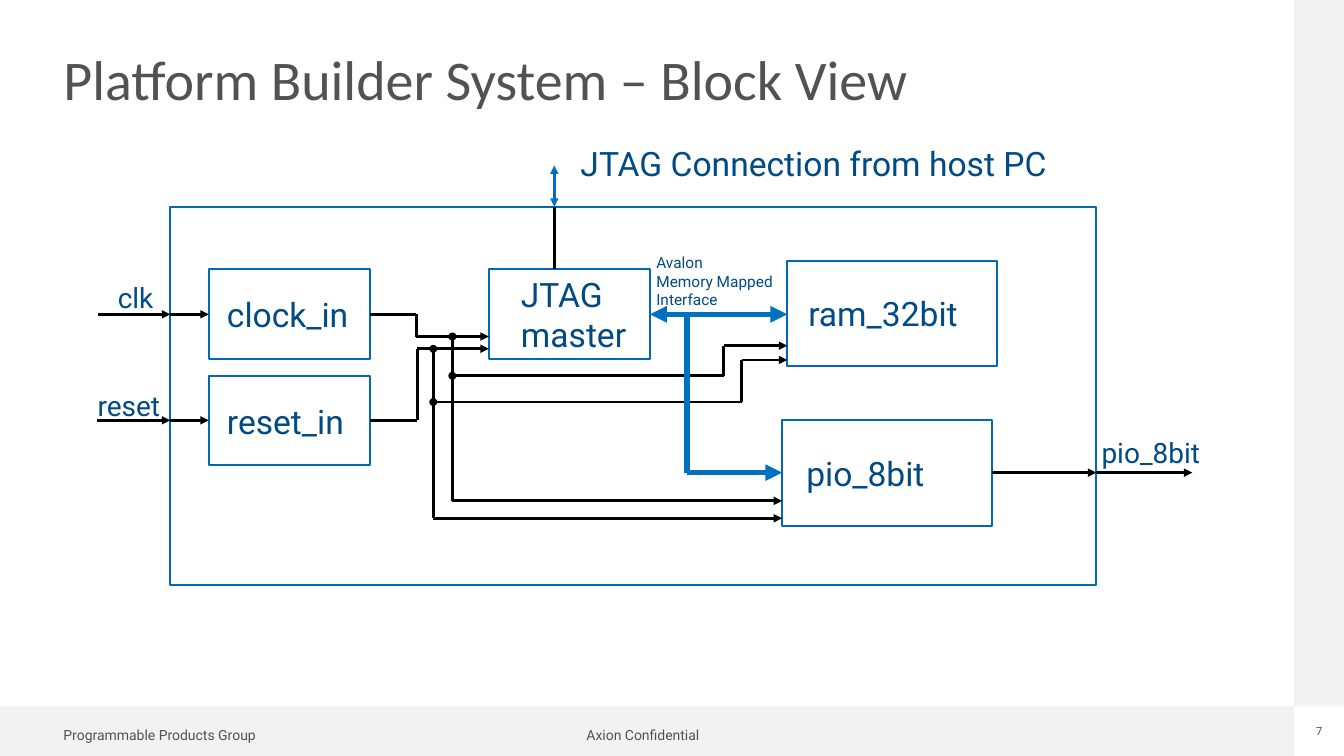
from dataclasses import dataclass
from itertools import pairwise

from lxml.etree import SubElement
from pptx import Presentation
from pptx.dml.color import RGBColor
from pptx.enum.shapes import MSO_CONNECTOR as Connector, MSO_SHAPE as Shape
from pptx.enum.text import MSO_ANCHOR as Anchor, PP_ALIGN as Align
from pptx.oxml.ns import qn
from pptx.util import Cm, Pt


@dataclass(frozen=True)
class Theme:
    heading_font: str = "Calibri"
    body_font: str = "Roboto"
    grey: str = "525252"
    band: str = "F2F2F2"
    text: str = "004A86"
    outline: str = "0068B5"
    bus: str = "0070C0"
    wire: str = "000000"
    title_size: float = 40
    block_size: float = 24
    port_size: float = 20
    bus_size: float = 11
    footer_size: float = 10
    number_size: float = 8
    outline_width: float = 1.5
    wire_width: float = 2
    bus_width: float = 4


THEME = Theme()

# Content; all lengths in centimetres
TITLE = "Platform Builder System – Block View"
BANDS = [(0, 17.8, 32.61, 1.25), (32.61, 0, 1.26, 17.8)]
SYSTEM = (4.29, 5.21, 23.34, 9.53)

# Text, box, left inset
BLOCKS = [
    ("clock_in", (5.26, 6.78, 4.06, 2.26), 0.46),
    ("reset_in", (5.26, 9.47, 4.06, 2.26), 0.46),
    ("JTAG\nmaster", (12.32, 6.78, 4.06, 2.26), 0.81),
    ("ram_32bit", (19.84, 6.58, 5.28, 2.64), 0.53),
    ("pio_8bit", (19.71, 10.59, 5.28, 2.67), 0.61),
]

# Text, box, size
LABELS = [
    ("clk", (2.97, 7.06, 1.2, 0.86), THEME.port_size),
    ("reset", (2.46, 9.8, 1.9, 0.86), THEME.port_size),
    ("pio_8bit", (27.76, 10.97, 2.8, 0.86), THEME.port_size),
    ("Avalon\nMemory Mapped\nInterface", (16.54, 6.38, 3.2, 1.42), THEME.bus_size),
    ("JTAG Connection from host PC", (14.63, 3.61, 12.5, 1.02), THEME.block_size),
]

# Text, box, size, alignment
FOOTERS = [
    ("Programmable Products Group", (1.6, 18.36, 6, 0.4), THEME.footer_size, Align.LEFT),
    ("Axion Confidential", (14.78, 18.36, 4, 0.4), THEME.footer_size, Align.LEFT),
    ("7", (32.75, 18.29, 1, 0.33), THEME.number_size, Align.CENTER),
]

# Rows and columns shared by the wires
CLOCK_Y, RESET_Y, PIO_Y = 7.92, 10.59, 11.91
CLOCK_X, RESET_X = 11.4, 10.92
CLOCK_BUS_Y, RESET_BUS_Y = 8.48, 8.79
CLOCK_RAM_Y, RESET_RAM_Y = 9.47, 10.13
BLOCK_LEFT, BLOCK_RIGHT, MASTER_LEFT, MASTER_RIGHT = 5.26, 9.32, 12.32, 16.38
RAM_LEFT, PIO_LEFT, PIO_RIGHT = 19.84, 19.71, 24.99
SYSTEM_LEFT, SYSTEM_TOP, SYSTEM_RIGHT = 4.29, 5.21, 27.63
JTAG_X, BUS_X = 13.97, 17.32

# Corner points; each route ends in an arrow
SIGNALS = [
    [(2.46, CLOCK_Y), (SYSTEM_LEFT, CLOCK_Y)],
    [(SYSTEM_LEFT, CLOCK_Y), (BLOCK_LEFT, CLOCK_Y)],
    [(2.44, RESET_Y), (SYSTEM_LEFT, RESET_Y)],
    [(SYSTEM_LEFT, RESET_Y), (BLOCK_LEFT, RESET_Y)],
    [(BLOCK_RIGHT, CLOCK_Y), (10.49, CLOCK_Y), (10.49, CLOCK_BUS_Y), (MASTER_LEFT, CLOCK_BUS_Y)],
    [(BLOCK_RIGHT, RESET_Y), (10.52, RESET_Y), (10.52, RESET_BUS_Y), (MASTER_LEFT, RESET_BUS_Y)],
    [(CLOCK_X, CLOCK_BUS_Y), (CLOCK_X, 12.62), (PIO_LEFT, 12.62)],
    [(RESET_X, RESET_BUS_Y), (RESET_X, 13.06), (PIO_LEFT, 13.06)],
    [(CLOCK_X, CLOCK_RAM_Y), (18.24, CLOCK_RAM_Y), (18.24, 8.71), (RAM_LEFT, 8.71)],
    [(RESET_X, RESET_RAM_Y), (18.69, RESET_RAM_Y), (18.69, 9.07), (RAM_LEFT, 9.07)],
    [(PIO_RIGHT, PIO_Y), (SYSTEM_RIGHT, PIO_Y)],
    [(SYSTEM_RIGHT, PIO_Y), (30.05, PIO_Y)],
]
JUNCTIONS = [(CLOCK_X, CLOCK_BUS_Y), (CLOCK_X, CLOCK_RAM_Y),
             (RESET_X, RESET_BUS_Y), (RESET_X, RESET_RAM_Y)]
JUNCTION_SIZE = 0.2


def write(text_frame, text, size, color=THEME.text, font=THEME.body_font,
          align=Align.LEFT, anchor=Anchor.TOP, inset=0, spacing=None):
    text_frame.text = text
    text_frame.word_wrap = True
    text_frame.vertical_anchor = anchor
    text_frame.margin_left = Cm(inset)
    text_frame.margin_right = text_frame.margin_top = text_frame.margin_bottom = 0
    for paragraph in text_frame.paragraphs:
        paragraph.alignment = align
        paragraph.line_spacing = spacing
        for run in paragraph.runs:
            run.font.name = font
            run.font.size = Pt(size)
            run.font.color.rgb = RGBColor.from_string(color)


def add_shape(slide, kind, box, fill=None, outline=None):
    shape = slide.shapes.add_shape(kind, *map(Cm, box))
    shape.shadow.inherit = False
    if fill:
        shape.fill.solid()
        shape.fill.fore_color.rgb = RGBColor.from_string(fill)
    else:
        shape.fill.background()
    if outline:
        shape.line.color.rgb = RGBColor.from_string(outline)
        shape.line.width = Pt(THEME.outline_width)
    else:
        shape.line.fill.background()
    return shape


def add_label(slide, text, box, size, **style):
    label = slide.shapes.add_textbox(*map(Cm, box))
    write(label.text_frame, text, size, **style)


def add_route(slide, points, color=THEME.wire, width=THEME.wire_width,
              start_arrow=False, end_arrow=True):
    segments = list(pairwise(points))
    for index, (start, end) in enumerate(segments):
        line = slide.shapes.add_connector(Connector.STRAIGHT, *map(Cm, start + end))
        line.line.color.rgb = RGBColor.from_string(color)
        line.line.width = Pt(width)
        properties = line.line._get_or_add_ln()
        if start_arrow and index == 0:
            SubElement(properties, qn("a:headEnd"), type="triangle")
        if end_arrow and index == len(segments) - 1:
            SubElement(properties, qn("a:tailEnd"), type="triangle")
        SubElement(properties.getparent(), qn("a:effectLst"))


def main():
    presentation = Presentation()
    presentation.slide_width, presentation.slide_height = Cm(33.87), Cm(19.05)
    slide = presentation.slides.add_slide(presentation.slide_layouts[5])

    # Page frame and footer
    for box in BANDS:
        add_shape(slide, Shape.RECTANGLE, box, fill=THEME.band)
    for text, box, size, align in FOOTERS:
        add_label(slide, text, box, size, color=THEME.grey, align=align, spacing=0.9)

    # Title
    title = slide.shapes.title
    title.left, title.top, title.width, title.height = map(Cm, (1.6, 1.22, 30.58, 1.7))
    write(title.text_frame, TITLE, THEME.title_size, color=THEME.grey,
          font=THEME.heading_font, anchor=Anchor.MIDDLE, spacing=0.9)

    # System outline and its blocks
    add_shape(slide, Shape.RECTANGLE, SYSTEM, outline=THEME.outline)
    for text, box, inset in BLOCKS:
        block = add_shape(slide, Shape.RECTANGLE, box, outline=THEME.outline)
        write(block.text_frame, text, THEME.block_size, anchor=Anchor.MIDDLE, inset=inset)

    # Clock, reset and output wires
    for points in SIGNALS:
        add_route(slide, points)
    for x, y in JUNCTIONS:
        corner = (x - JUNCTION_SIZE / 2, y - JUNCTION_SIZE / 2)
        add_shape(slide, Shape.OVAL, corner + (JUNCTION_SIZE, JUNCTION_SIZE), fill=THEME.wire)

    # Memory-mapped bus
    add_route(slide, [(BUS_X, CLOCK_Y), (BUS_X, PIO_Y), (PIO_LEFT, PIO_Y)],
              THEME.bus, THEME.bus_width)
    add_route(slide, [(MASTER_RIGHT, CLOCK_Y), (RAM_LEFT, CLOCK_Y)],
              THEME.bus, THEME.bus_width, start_arrow=True)

    # Host connection
    add_route(slide, [(JTAG_X, 4.17), (JTAG_X, SYSTEM_TOP)], THEME.bus, start_arrow=True)
    add_route(slide, [(JTAG_X, 6.78), (JTAG_X, SYSTEM_TOP)], end_arrow=False)

    # Port and bus labels
    for text, box, size in LABELS:
        add_label(slide, text, box, size)

    presentation.save("out.pptx")


if __name__ == "__main__":
    main()
